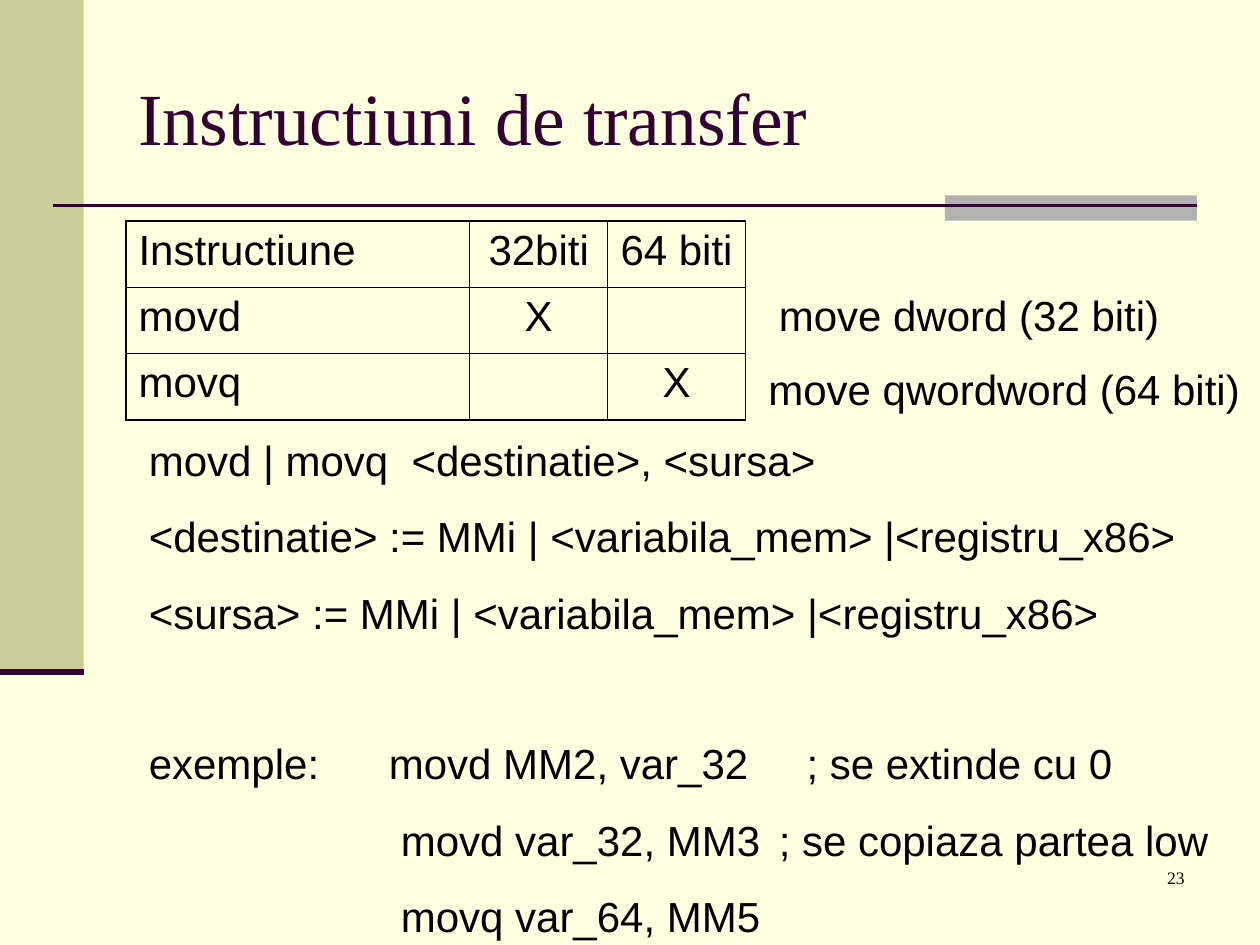
from lxml import etree
from pptx import Presentation
from pptx import util as u
from pptx.dml.color import RGBColor
from pptx.enum import shapes, text
from pptx.oxml import parse_xml
from pptx.oxml.ns import nsdecls, qn

INK = "330033"
BLACK = "000000"
THIN, THICK = 0.45, 1.08
HEADERS = ("Instructiune", "32biti", "64 biti")
ROWS = (HEADERS, ("movd", "X", ""), ("movq", "", "X"))
LINE_GAP, BLOCK_GAP = 15, 57
SYNTAX = (
    ("movd | movq  <destinatie>, <sursa>", 0, ()),
    ("<destinatie> := MMi | <variabila_mem> |<registru_x86>", LINE_GAP, ()),
    ("<sursa> := MMi | <variabila_mem> |<registru_x86>", LINE_GAP, ()),
    ("exemple:\tmovd MM2, var_32\t; se extinde cu 0", BLOCK_GAP, (4.84, 13.26)),
    ("\tmovd var_32, MM3\t; se copiaza partea low", LINE_GAP, (5.08, 12.7)),
    ("\tmovq var_64, MM5", LINE_GAP, (5.08,)),
)


def color(value):
    """Turn a hex string into a colour."""
    return RGBColor.from_string(value)


def add_span(para, words, size, font="Arial", ink=BLACK):
    """Add one formatted run to a paragraph."""
    span = para.add_run()
    span.text = words
    span.font.size = u.Pt(size)
    span.font.name = font
    span.font.color.rgb = color(ink)


def add_box(page, left, top, width, height, anchor=text.MSO_ANCHOR.TOP):
    """Add a wrapping text box and return its text frame."""
    box = page.shapes.add_textbox(u.Cm(left), u.Cm(top), u.Cm(width), u.Cm(height))
    frame = box.text_frame
    frame.word_wrap = True
    frame.vertical_anchor = anchor
    return frame


def add_bar(page, left, top, width, height, fill):
    """Add a plain filled rectangle."""
    bar = page.shapes.add_shape(
        shapes.MSO_SHAPE.RECTANGLE, u.Cm(left), u.Cm(top), u.Cm(width), u.Cm(height)
    )
    bar.shadow.inherit = False
    bar.fill.solid()
    bar.fill.fore_color.rgb = color(fill)
    bar.line.fill.background()


def add_rule(page, left, top, width, weight):
    """Add a horizontal line without a shadow."""
    rule = page.shapes.add_connector(
        shapes.MSO_CONNECTOR.STRAIGHT, u.Cm(left), u.Cm(top), u.Cm(left + width), u.Cm(top)
    )
    rule.line.color.rgb = color(INK)
    rule.line.width = u.Pt(weight)
    etree.SubElement(rule._element.spPr, qn("a:effectLst"))


def add_side_band(page, left, top, width, height):
    """Draw the side band and the line that closes it."""
    add_bar(page, left, top, width, height, "CCCC99")
    add_rule(page, left, top + height, width, 3.5)


def add_heading(page, left, top, width, height):
    """Write the title above its underline and grey block."""
    frame = add_box(page, left, top, width, height, text.MSO_ANCHOR.MIDDLE)
    add_span(frame.paragraphs[0], "Instructiuni de transfer", 42, "Times New Roman", INK)
    right, block = left + width, 5.08
    add_bar(page, right - block, top + height, block, 0.51, "B2B2B2")
    add_rule(page, left - 1.48, top + height + 0.2, width + 1.48, 1.5)


def set_borders(cell, weights):
    """Give a cell its left, right, top and bottom lines."""
    cell_format = cell._tc.get_or_add_tcPr()
    for place, (side, weight) in enumerate(zip("LRTB", weights)):
        line = parse_xml(
            f'<a:ln{side} {nsdecls("a")} w="{u.Pt(weight)}"><a:solidFill>'
            f'<a:srgbClr val="{BLACK}"/></a:solidFill></a:ln{side}>'
        )
        cell_format.insert(place, line)


def add_instruction_table(page, left, top, width, height):
    """Build the instruction table with a thicker outer frame."""
    last_row, last_col = len(ROWS) - 1, len(HEADERS) - 1
    holder = page.shapes.add_table(
        len(ROWS), len(HEADERS), u.Cm(left), u.Cm(top), u.Cm(width), u.Cm(height)
    )
    table = holder.table
    table.first_row = table.horz_banding = False
    narrow = 2.78
    for column, size in zip(table.columns, (width - 2 * narrow, narrow, narrow)):
        column.width = u.Cm(size)
    for row, labels in enumerate(ROWS):
        table.rows[row].height = u.Cm(height / len(ROWS))
        for col, label in enumerate(labels):
            cell = table.cell(row, col)
            cell.fill.background()
            edges = (col == 0, col == last_col, row == 0, row == last_row)
            set_borders(cell, [THICK if edge else THIN for edge in edges])
            para = cell.text_frame.paragraphs[0]
            para.alignment = text.PP_ALIGN.CENTER if col else text.PP_ALIGN.LEFT
            if label:
                add_span(para, label, 24)


def add_note(page, left, top, width, height, words):
    """Write the meaning of an instruction beside its row."""
    add_span(add_box(page, left, top, width, height).paragraphs[0], words, 24)


def set_tabs(para, stops):
    """Give a paragraph left tab stops."""
    tabs = etree.SubElement(para._p.get_or_add_pPr(), qn("a:tabLst"))
    for stop in stops:
        etree.SubElement(tabs, qn("a:tab"), pos=str(u.Cm(stop)), algn="l")


def add_syntax(page, left, top, width, height):
    """Write the syntax rules and the examples."""
    frame = add_box(page, left, top, width, height)
    for index, (words, gap, stops) in enumerate(SYNTAX):
        para = frame.add_paragraph() if index else frame.paragraphs[0]
        if stops:
            set_tabs(para, stops)
        if gap:
            para.space_before = u.Pt(gap)
        add_span(para, words, 24)


def add_page_number(page, left, top, width, height):
    """Write the page number at the right of its box."""
    para = add_box(page, left, top, width, height).paragraphs[0]
    para.alignment = text.PP_ALIGN.RIGHT
    add_span(para, "23", 10, "Times New Roman")


def main():
    """Build and save the deck."""
    deck = Presentation()
    deck.slide_width, deck.slide_height = u.Cm(25.4), u.Cm(19.05)
    page = deck.slides.add_slide(deck.slide_layouts[6])
    page.background.fill.solid()
    page.background.fill.fore_color.rgb = color("FFFFE1")
    add_side_band(page, 0, 0, 1.69, 13.55)
    add_heading(page, 2.54, 0.76, 21.59, 3.18)
    add_instruction_table(page, 2.54, 4.45, 12.49, 4.02)
    add_note(page, 15.45, 5.72, 9.95, 1.27, "move dword (32 biti)")
    add_note(page, 15.24, 7.2, 10.16, 1.27, "move qwordword (64 biti)")
    add_syntax(page, 2.75, 8.63, 22.65, 10.42)
    add_page_number(page, 18.84, 17.36, 5.29, 1.27)
    deck.save("out.pptx")


if __name__ == "__main__":
    main()
